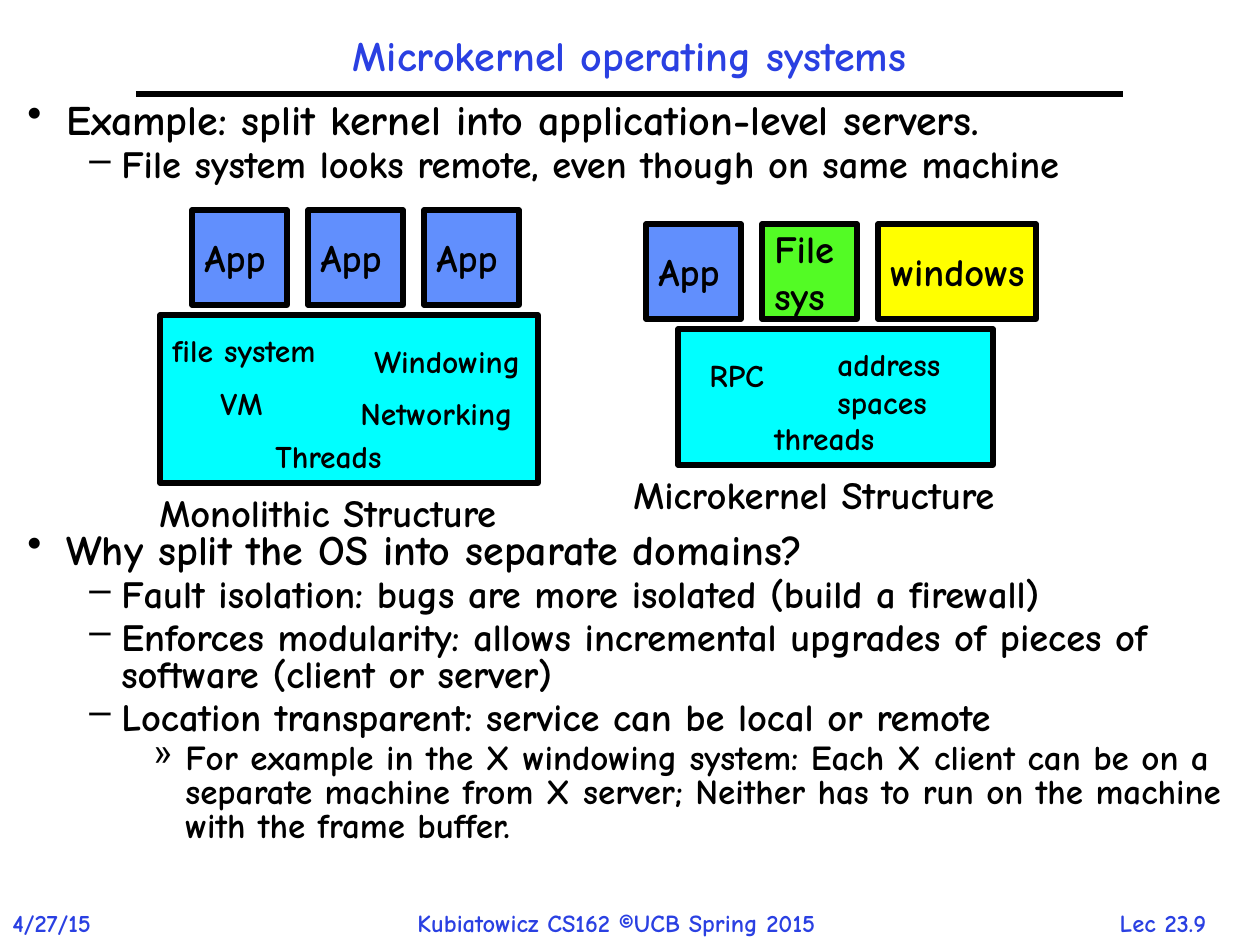
from dataclasses import dataclass

from lxml import etree
from pptx import Presentation
from pptx import util as u
from pptx.dml.color import RGBColor
from pptx.enum import shapes, text
from pptx.oxml.ns import qn


@dataclass(frozen=True)
class Theme:
    face: str = "Comic Neue"
    ink: str = "000000"
    accent: str = "2A40E2"
    app: str = "618FFD"
    green: str = "53FB25"
    window: str = "FFFF00"
    kernel: str = "00FFFF"
    head: int = 24
    label: int = 22
    small: int = 18
    foot: int = 14
    rule: int = 3


T = Theme()
DPI = 126
# Per level: bullet, left margin, hang, type size
LEVELS = (("•", 39, 39, 24), ("–", 94, 32, 22), ("»", 158, 32, 20))
LEFT, MID = text.PP_ALIGN.LEFT, text.PP_ALIGN.CENTER


def px(n):
    return u.Emu(round(n * u.Inches(1) / DPI))


def box(x, y, w, h):
    return [px(n) for n in (x, y, w, h)]


def rgb(code):
    return RGBColor.from_string(code)


def style(para, size, color=T.ink, align=LEFT):
    para.alignment = align
    font = para.font
    font.name, font.size, font.bold = T.face, u.Pt(size), True
    font.color.rgb = rgb(color)


def hang(para, left, first):
    props = para._p.get_or_add_pPr()
    props.set("marL", str(px(left)))
    props.set("indent", str(-px(first)))
    return props


def write(shape, words, size, color=T.ink, align=LEFT, indent=0):
    frame = shape.text_frame
    frame.word_wrap = False
    frame.text = words
    for para in frame.paragraphs:
        if indent:
            hang(para, indent, indent)
        style(para, size, color, align)


def label(parent, area, words, size, **look):
    item = parent.add_textbox(*box(*area))
    write(item, words, size, **look)
    item.text_frame.auto_size = text.MSO_AUTO_SIZE.SHAPE_TO_FIT_TEXT


def block(parent, area, fill, words=""):
    item = parent.add_shape(shapes.MSO_SHAPE.RECTANGLE, *box(*area))
    item.shadow.inherit = False
    item.fill.solid()
    item.fill.fore_color.rgb = rgb(fill)
    item.line.color.rgb = rgb(T.ink)
    item.line.width = u.Pt(T.rule)
    if words:
        item.text_frame.vertical_anchor = text.MSO_ANCHOR.MIDDLE
        write(item, words, T.label, indent=32)


def header(slide, x, y, w, h):
    title = slide.shapes.title
    title.left, title.top, title.width, title.height = box(x, y, w, h)
    frame = title.text_frame
    frame.text = "Microkernel operating systems"
    frame.auto_size = text.MSO_AUTO_SIZE.NONE
    frame.vertical_anchor = text.MSO_ANCHOR.MIDDLE
    para = frame.paragraphs[0]
    para.line_spacing = 0.9
    style(para, T.head, T.accent, MID)

    rule = slide.shapes.add_connector(
        shapes.MSO_CONNECTOR.STRAIGHT, *box(x, y + h, x + w, y + h))
    rule.line.color.rgb = rgb(T.ink)
    rule.line.width = u.Pt(T.rule)
    etree.SubElement(rule._element.spPr, qn("a:effectLst"))


def bullets(slide, area, items):
    """Write (level, words) pairs as a bulleted list."""
    frame = slide.shapes.add_textbox(*box(*area)).text_frame
    frame.word_wrap = True
    for i, (level, words) in enumerate(items):
        para = frame.paragraphs[0] if i == 0 else frame.add_paragraph()
        mark, left, first, size = LEVELS[level]
        para.text = words
        para.level = level
        para.line_spacing = 0.8
        para.space_before = u.Pt(0.15 * size)
        props = hang(para, left, first)
        etree.SubElement(props, qn("a:buChar")).set("char", mark)
        style(para, size)


def diagram(slide, x, y, start, tops, kernel, notes, caption):
    """Draw a row of programs over a kernel, with offsets from (x, y)."""
    group = slide.shapes.add_group_shape().shapes

    def at(dx, dy, w, h):
        return x + dx, y + dy, w, h

    side, gap = 95, 21
    for words, fill, wide in tops:
        block(group, at(start, 0, wide, side), fill, words)
        start += wide + gap
    block(group, at(*kernel), T.kernel)
    for words, *area in notes:
        label(group, at(*area), words, T.small, indent=32)
    base = kernel[1] + kernel[3]
    label(group, at(0, base, 425, 49), caption, T.label, indent=32)


def footer(slide, y, h):
    for words, x, w, align in (
        ("4/27/15", 0, 126, LEFT),
        ("Kubiatowicz CS162 ©UCB Spring 2015", 405, 488, LEFT),
        ("Lec 23.9", 1079, 168, MID),
    ):
        label(slide.shapes, (x, y, w, h), words, T.foot,
              color=T.accent, align=align)


def main():
    deck = Presentation()
    deck.slide_width, deck.slide_height = px(1260), px(945)
    slide = deck.slides.add_slide(deck.slide_layouts[5])

    header(slide, 136, 21, 987, 73)
    bullets(slide, (15, 97, 1230, 100), (
        (0, "Example: split kernel into application-level servers."),
        (1, "File system looks remote, even though on same machine"),
    ))
    diagram(
        slide, 147, 210, 45,
        [("App", T.app, 95)] * 3,
        (13, 105, 378, 168),
        (("file system", 13, 115, 195, 43),
         ("Windowing", 215, 126, 181, 43),
         ("Networking", 201, 178, 195, 43),
         ("VM", 61, 168, 74, 43),
         ("Threads", 116, 221, 149, 43)),
        "Monolithic Structure")
    diagram(
        slide, 621, 224, 25,
        (("App", T.app, 95), ("File\nsys", T.green, 95),
         ("windows", T.window, 158)),
        (57, 105, 315, 136),
        (("RPC", 76, 126, 82, 43),
         ("address\nspaces", 204, 115, 144, 73),
         ("threads", 141, 189, 142, 43)),
        "Microkernel Structure")
    bullets(slide, (15, 527, 1230, 386), (
        (0, "Why split the OS into separate domains?"),
        (1, "Fault isolation: bugs are more isolated (build a firewall)"),
        (1, "Enforces modularity: allows incremental upgrades of pieces of "
            "software (client or server)"),
        (1, "Location transparent: service can be local or remote"),
        (2, "For example in the X windowing system: Each X client can be on a "
            "separate machine from X server; Neither has to run on the "
            "machine with the frame buffer."),
    ))
    footer(slide, 902, 43)
    deck.save("out.pptx")


if __name__ == "__main__":
    main()
